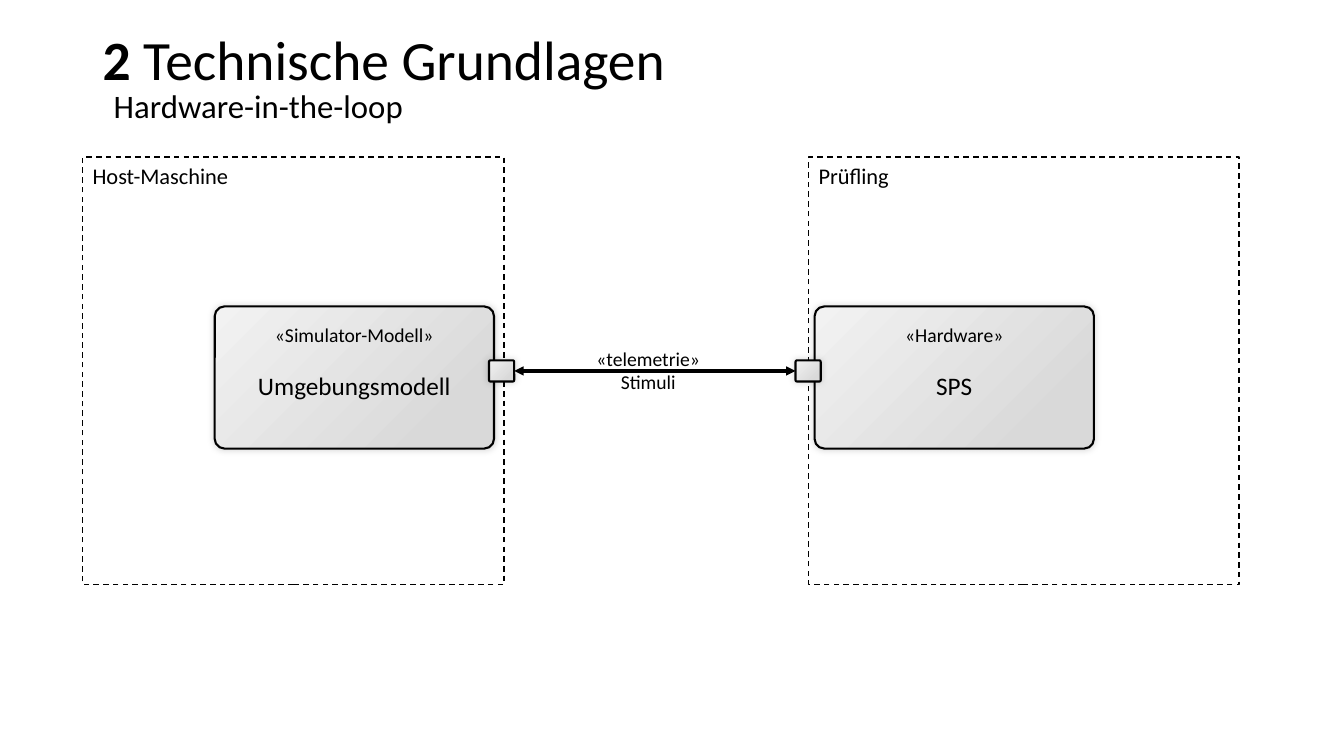
from lxml import etree
from pptx import Presentation
from pptx import util as u
from pptx.dml import color
from pptx.enum import dml, shapes, text
from pptx.oxml import ns

COLORS = {"ink": "000000", "light": "F2F2F2", "shade": "D9D9D9"}
FONT = "Calibri"
PORT_WIDTH, PORT_HEIGHT, PORT_MIDDLE = 0.25, 0.21, 3.68


def rgb(name):
    """Return the named colour."""
    return color.RGBColor.from_string(COLORS[name])


def inches(*lengths):
    """Turn plain numbers into lengths in inches."""
    return [u.Inches(length) for length in lengths]


def write_text(shape, lines, align=text.PP_ALIGN.LEFT, anchor=text.MSO_ANCHOR.TOP,
               spacing=1.0, gap=0, bottom=0.05):
    """Fill a shape with lines, each a list of (words, size, bold) runs."""
    frame = shape.text_frame
    frame.word_wrap = True
    frame.vertical_anchor = anchor
    frame.margin_bottom = u.Inches(bottom)
    for index, runs in enumerate(lines):
        paragraph = frame.add_paragraph() if index else frame.paragraphs[0]
        paragraph.alignment = align
        paragraph.line_spacing = spacing
        if index:
            paragraph.space_before = u.Pt(gap)
        for words, size, bold in runs:
            run = paragraph.add_run()
            run.text = words
            run.font.name, run.font.size, run.font.bold = FONT, u.Pt(size), bold
            run.font.color.rgb = rgb("ink")


def add_soft_shadow(shape):
    """Give a shape a faint shadow on all sides."""
    shape.shadow.inherit = False
    effects = shape._element.spPr.find(ns.qn("a:effectLst"))
    shadow = etree.SubElement(effects, ns.qn("a:outerShdw"), blurRad=str(u.Pt(5)),
                              dist="0", dir="0", algn="ctr", rotWithShape="0")
    tint = etree.SubElement(shadow, ns.qn("a:srgbClr"), val=COLORS["ink"])
    etree.SubElement(tint, ns.qn("a:alpha"), val="17000")


def add_block(slide, left, top, width, height):
    """Draw a rounded grey block with a gradient."""
    block = slide.shapes.add_shape(shapes.MSO_SHAPE.ROUNDED_RECTANGLE,
                                   *inches(left, top, width, height))
    block.adjustments[0] = 0.068
    block.fill.gradient()
    block.fill.gradient_angle = 315
    for stop, position, name in zip(block.fill.gradient_stops, (0, 0.83), ("light", "shade")):
        stop.position = position
        stop.color.rgb = rgb(name)
    block.line.color.rgb = rgb("ink")
    block.line.width = u.Pt(1.5)
    add_soft_shadow(block)
    return block


def add_header(slide, left, top, width, height):
    """Write the numbered title and the subtitle below it."""
    title = [("2", 39.6, True), (" Technische Grundlagen", 39.6, False)]
    subtitle = [("Hardware-in-the-loop", 23.4, False)]
    for runs, right, down in ((title, 0, 0), (subtitle, 0.11, 0.45)):
        box = slide.shapes.add_textbox(*inches(left + right, top + down, width, height))
        write_text(box, [runs], anchor=text.MSO_ANCHOR.MIDDLE, spacing=0.9)


def add_system(slide, left, top, width, height, label, stereotype, name, block_offset, port_offset):
    """Draw a dashed system frame with its block and return the block's port."""
    frame = slide.shapes.add_shape(shapes.MSO_SHAPE.RECTANGLE, *inches(left, top, width, height))
    frame.fill.background()
    frame.shadow.inherit = False
    frame.line.color.rgb = rgb("ink")
    frame.line.width = u.Pt(1)
    frame.line.dash_style = dml.MSO_LINE.DASH
    write_text(frame, [[(label, 16, False)]])
    block = add_block(slide, left + block_offset, top + 1.48, 2.77, 1.41)
    write_text(block, [[(stereotype, 14, False)], [(name, 18, False)]], text.PP_ALIGN.CENTER,
               text.MSO_ANCHOR.MIDDLE, gap=17, bottom=0.36)
    return add_block(slide, left + port_offset, PORT_MIDDLE - PORT_HEIGHT / 2,
                     PORT_WIDTH, PORT_HEIGHT)


def add_link(slide, start, end, left, top, width, height):
    """Join two ports with a double arrow and label it."""
    link = slide.shapes.add_connector(shapes.MSO_CONNECTOR.STRAIGHT, 0, 0, 0, 0)
    link.begin_connect(start, 3)
    link.end_connect(end, 1)
    link.line.color.rgb = rgb("ink")
    link.line.width = u.Pt(2.25)
    for tag in ("a:headEnd", "a:tailEnd"):
        etree.SubElement(link.line._get_or_add_ln(), ns.qn(tag), type="triangle")
    etree.SubElement(link._element.spPr, ns.qn("a:effectLst"))
    box = slide.shapes.add_textbox(*inches(left, top, width, height))
    write_text(box, [[("«telemetrie»", 14, False)], [("Stimuli", 14, False)]],
               text.PP_ALIGN.CENTER)


def main():
    """Build and save the slide."""
    presentation = Presentation()
    presentation.slide_width, presentation.slide_height = inches(13.33, 7.5)
    slide = presentation.slides.add_slide(presentation.slide_layouts[6])
    add_header(slide, 0.92, 0.27, 11.5, 0.69)
    host = add_system(slide, 0.82, 1.56, 4.18, 4.24, "Host-Maschine",
                      "«Simulator-Modell»", "Umgebungsmodell", 1.31, 4.03)
    device = add_system(slide, 8.02, 1.56, 4.27, 4.24, "Prüfling",
                        "«Hardware»", "SPS", 0.06, -0.13)
    add_link(slide, host, device, 5.71, 3.39, 1.44, 0.57)
    presentation.save("out.pptx")


if __name__ == "__main__":
    main()
